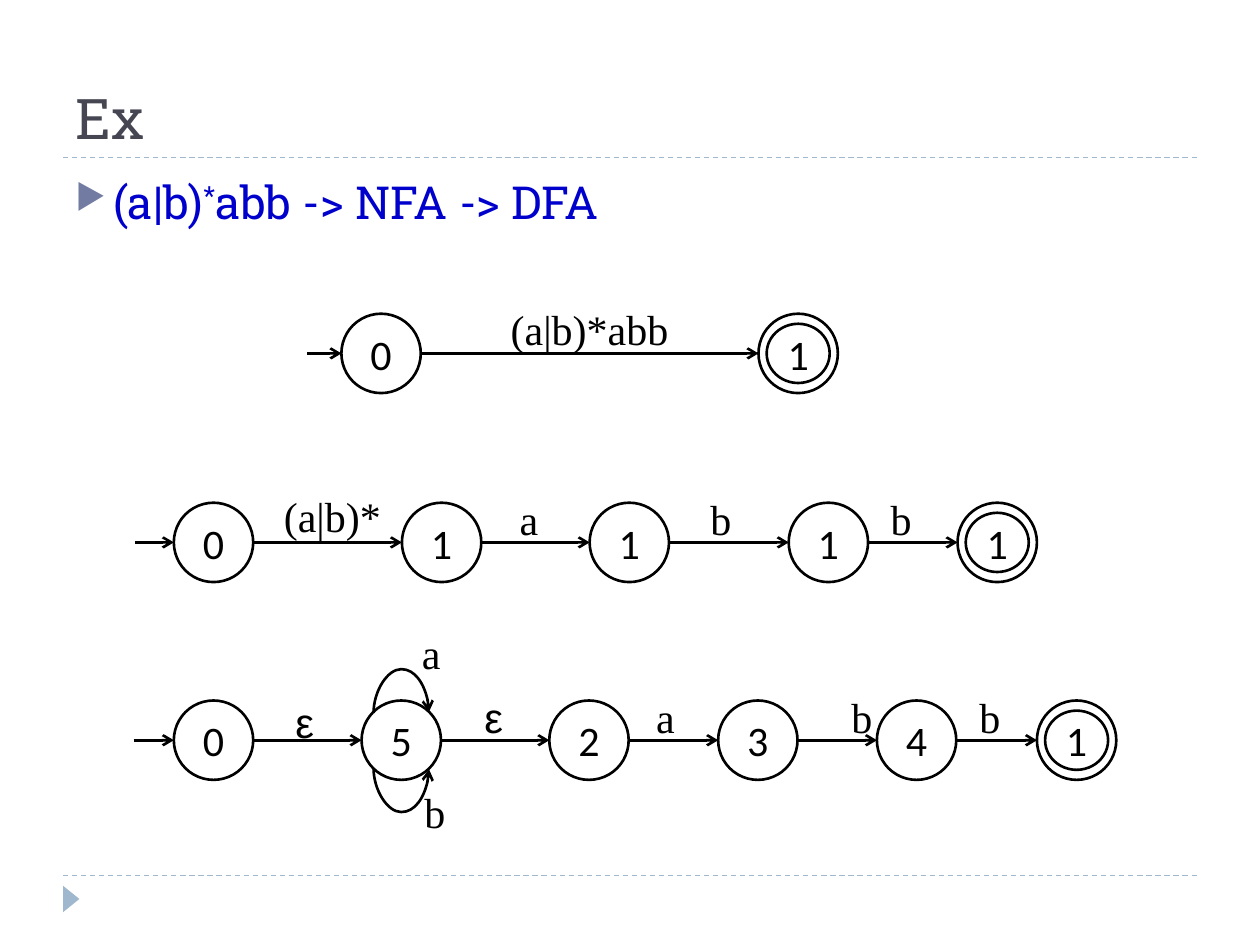
"""Build a slide that turns a regular expression into automata step by step."""
import dataclasses

import lxml.etree
import pptx
import pptx.dml.color
import pptx.enum.dml
import pptx.enum.shapes
import pptx.enum.text
import pptx.oxml.ns
import pptx.util

SHAPES = pptx.enum.shapes.MSO_SHAPE
CONNECTORS = pptx.enum.shapes.MSO_CONNECTOR
ALIGN = pptx.enum.text.PP_ALIGN
ANCHOR = pptx.enum.text.MSO_ANCHOR


@dataclasses.dataclass(frozen=True)
class Theme:
    """Hold the colours, fonts, type sizes and line widths."""
    ink: str = "000000"
    title: str = "464653"
    body: str = "0000CC"
    bullet: str = "727CA3"
    accent: str = "9FB8CD"
    heading_font: str = "Roboto Slab"
    state_font: str = "Calibri"
    label_font: str = "Times New Roman"
    symbol_font: str = "Arial"
    title_size: float = 32
    body_size: float = 26
    diagram_size: float = 24
    stroke: float = 1.5
    rule: float = 0.75


@dataclasses.dataclass(frozen=True)
class Automaton:
    """Describe one row: its origin, states, edges (text, shift, drop) and loops."""
    left: float
    top: float
    states: tuple
    edges: tuple
    looped_state: int = -1


THEME = Theme()
STATE_SIZE = 6.3
RING_WIDTH, RING_HEIGHT = 5, 4.7
LABEL_HEIGHT = 5
LABEL_WIDTHS = {"a": 3.5, "b": 3.7, "ε": 3.5, "(a|b)*": 9.7, "(a|b)*abb": 14.5}
AUTOMATA = (
    Automaton(24.4, 24.9, (("0", 2.7), ("1", 35.8)), (("(a|b)*abb", 0, -1.3),)),
    Automaton(10.7, 39.9,
              (("0", 3.1), ("1", 21.2), ("1", 36.1), ("1", 51.9), ("1", 65.3)),
              (("(a|b)*", 0.4, -1.5), ("a", -0.5, -1.2), ("b", -0.6, -1.2),
               ("b", -0.9, -1.2))),
    Automaton(10.6, 55.6,
              (("0", 3.2), ("5", 18.1), ("2", 33), ("3", 46.4), ("4", 59), ("1", 71.7)),
              (("ε", -0.2, -0.8), ("ε", -0.1, -1.2), ("a", -0.6, -1.2),
               ("b", 2, -1.2), ("b", -0.5, -1.2)), 1),
)


def grid(*units):
    """Convert units of a 100 by 75 grid on the slide to lengths."""
    return [pptx.util.Inches(unit / 10) for unit in units]


def color(value):
    """Return a colour from its hexadecimal value."""
    return pptx.dml.color.RGBColor.from_string(value)


def add_element(parent, tag, **attributes):
    """Append a drawing element to a parent."""
    element = lxml.etree.SubElement(parent, pptx.oxml.ns.qn(tag))
    for name, value in attributes.items():
        element.set(name, value)
    return element


def format_runs(paragraph, font, size, value):
    """Give every run of a paragraph one font, size and colour."""
    for run in paragraph.runs:
        run.font.name = font
        run.font.size = pptx.util.Pt(size)
        run.font.color.rgb = color(value)


def add_line(shapes, start, end, value=THEME.ink, width=THEME.stroke,
             kind=CONNECTORS.STRAIGHT, arrow=True):
    """Draw a connector, either an arrow or a dashed rule."""
    connector = shapes.add_connector(kind, *grid(*start, *end))
    connector.line.color.rgb = color(value)
    connector.line.width = pptx.util.Pt(width)
    if arrow:
        add_element(connector.line._get_or_add_ln(), "a:tailEnd", type="arrow")
    else:
        connector.line.dash_style = pptx.enum.dml.MSO_LINE.DASH
    add_element(connector._element.spPr, "a:effectLst")
    return connector


def add_circle(shapes, left, top, width, height, text=""):
    """Draw an outlined ellipse with an optional state number."""
    circle = shapes.add_shape(SHAPES.OVAL, *grid(left, top, width, height))
    circle.shadow.inherit = False
    circle.fill.background()
    circle.line.color.rgb = color(THEME.ink)
    circle.line.width = pptx.util.Pt(THEME.stroke)
    if text:
        frame = circle.text_frame
        frame.text = text
        frame.word_wrap = False
        frame.vertical_anchor = ANCHOR.MIDDLE
        frame.paragraphs[0].alignment = ALIGN.CENTER
        format_runs(frame.paragraphs[0], THEME.state_font, THEME.diagram_size, THEME.ink)


def add_label(shapes, text, center, top):
    """Place an edge label around a centre."""
    width = LABEL_WIDTHS[text]
    box = shapes.add_textbox(*grid(center - width / 2, top, width, LABEL_HEIGHT))
    box.text_frame.text = text
    box.text_frame.word_wrap = False
    font = THEME.symbol_font if text == "ε" else THEME.label_font
    format_runs(box.text_frame.paragraphs[0], font, THEME.diagram_size, THEME.ink)


def add_loop(shapes, center, level, upward):
    """Draw a curved arrow from a state back to itself."""
    depth, span, reach = 0.1, 4.4, 3.55
    loop = add_line(shapes, (center - depth / 2, level - span / 2),
                    (center + depth / 2, level + span / 2), kind=CONNECTORS.CURVE)
    properties = loop._element.spPr
    properties.xfrm.set("rot", str((270 if upward else 90) * 60000))
    if not upward:
        properties.xfrm.set("flipV", "1")
    geometry = properties.find(pptx.oxml.ns.qn("a:prstGeom"))
    adjustments = geometry.find(pptx.oxml.ns.qn("a:avLst"))
    if adjustments is None:
        adjustments = add_element(geometry, "a:avLst")
    add_element(adjustments, "a:gd", name="adj1",
                fmla=f"val {round(reach / depth * 100000)}")


def add_automaton(slide, automaton):
    """Place the states, edges and loops of one automaton in a group."""
    shapes = slide.shapes.add_group_shape().shapes
    left, top = automaton.left, automaton.top
    middle = top + STATE_SIZE / 2
    positions = [left + offset for _, offset in automaton.states]
    for (name, _), position in zip(automaton.states, positions):
        add_circle(shapes, position, top, STATE_SIZE, STATE_SIZE, name)
    add_circle(shapes, positions[-1] + (STATE_SIZE - RING_WIDTH) / 2,
               top + (STATE_SIZE - RING_HEIGHT) / 2, RING_WIDTH, RING_HEIGHT)
    add_line(shapes, (left, middle), (positions[0], middle))
    for (text, shift, drop), source, target in zip(
            automaton.edges, positions, positions[1:]):
        source += STATE_SIZE
        add_line(shapes, (source, middle), (target, middle))
        add_label(shapes, text, (source + target) / 2 + shift, top + drop)
    if automaton.looped_state >= 0:
        center = positions[automaton.looped_state] + STATE_SIZE / 2
        add_loop(shapes, center, top + 0.95, True)
        add_loop(shapes, center, top + STATE_SIZE - 0.9, False)
        add_label(shapes, "a", center + 2.4, top - STATE_SIZE)
        add_label(shapes, "b", center + 2.7, top + STATE_SIZE)


def add_frame(slide, left, right, upper, lower):
    """Draw the two dashed rules and the corner marker."""
    for level in (lower, upper):
        add_line(slide.shapes, (left, level), (right, level),
                 THEME.accent, THEME.rule, arrow=False)
    marker = slide.shapes.add_shape(SHAPES.ISOSCELES_TRIANGLE,
                                    *grid(left - 0.4, lower + 1.2, 2.1, 1.3))
    marker.rotation = 90
    marker.shadow.inherit = False
    marker.fill.solid()
    marker.fill.fore_color.rgb = color(THEME.accent)
    marker.line.fill.background()


def add_title(slide, box):
    """Move and format the title placeholder."""
    title = slide.shapes.title
    title.left, title.top, title.width, title.height = grid(*box)
    frame = title.text_frame
    frame.text = "Ex"
    frame.auto_size = pptx.enum.text.MSO_AUTO_SIZE.NONE
    frame.vertical_anchor = ANCHOR.BOTTOM
    frame.paragraphs[0].alignment = ALIGN.LEFT
    format_runs(frame.paragraphs[0], THEME.heading_font, THEME.title_size, THEME.title)


def add_expression(slide, box):
    """Write the bulleted expression with its raised star."""
    frame = slide.shapes.add_textbox(*grid(*box)).text_frame
    frame.word_wrap = True
    paragraph = frame.paragraphs[0]
    properties = paragraph._p.get_or_add_pPr()
    indent = pptx.util.Inches(0.3)
    properties.set("marL", str(indent))
    properties.set("indent", str(-indent))
    add_element(add_element(properties, "a:buClr"), "a:srgbClr", val=THEME.bullet)
    add_element(properties, "a:buSzPct", val="76000")
    add_element(properties, "a:buChar", char="▶")
    for text in ("(a|b)", "*", "abb -> NFA -> DFA"):
        paragraph.add_run().text = text
    format_runs(paragraph, THEME.heading_font, THEME.body_size, THEME.body)
    paragraph.runs[1]._r.get_or_add_rPr().set("baseline", "30000")


def main():
    """Build and save the presentation."""
    presentation = pptx.Presentation()
    presentation.slide_width, presentation.slide_height = grid(100, 75)
    slide = presentation.slides.add_slide(presentation.slide_layouts[5])
    add_frame(slide, 5, 95, 12.5, 69.5)
    add_title(slide, (5, 1.7, 90, 10.8))
    add_expression(slide, (5, 13.3, 90, 6.8))
    for automaton in AUTOMATA:
        add_automaton(slide, automaton)
    presentation.save("out.pptx")


if __name__ == "__main__":
    main()
